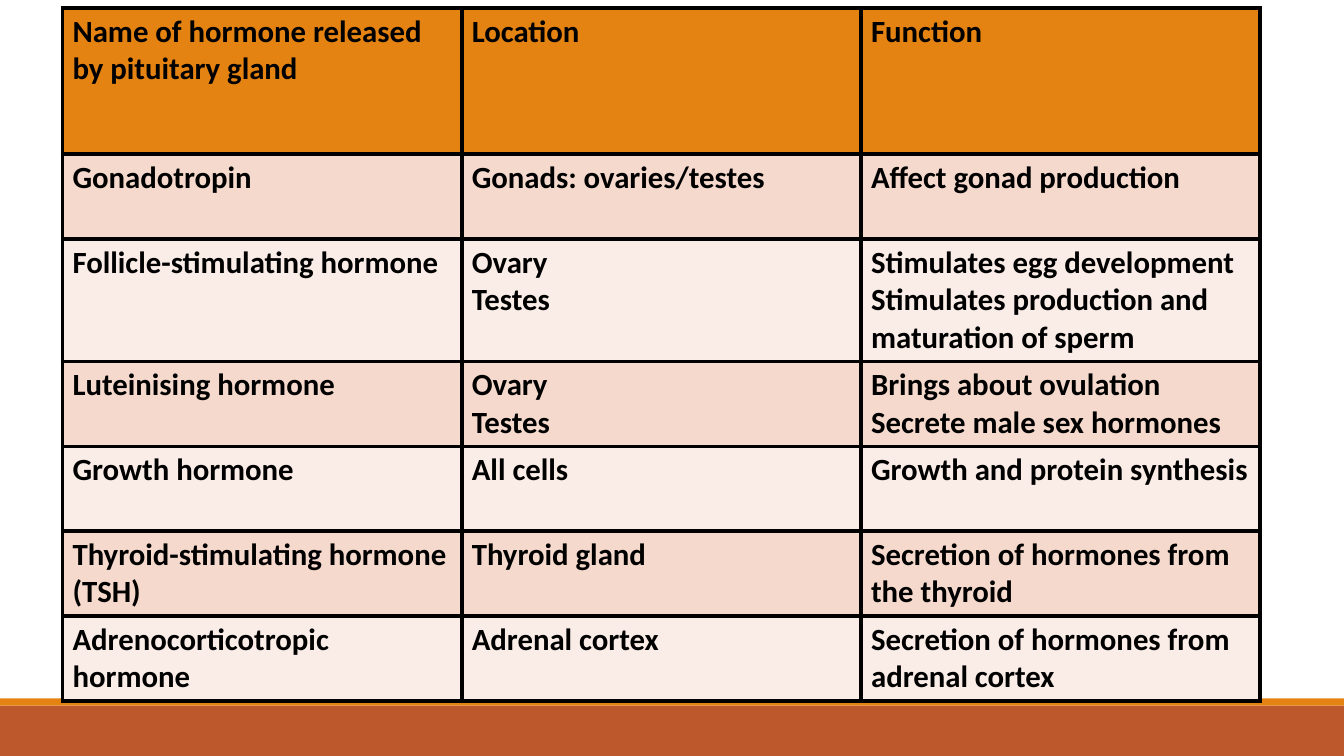
"""Build a slide with a table of pituitary hormones."""
from lxml.etree import SubElement
from pptx import Presentation
from pptx.dml.color import RGBColor
from pptx.enum.shapes import MSO_SHAPE
from pptx.oxml.ns import qn
from pptx.util import Inches, Pt

HORMONES = [
    ("Name of hormone released by pituitary gland", "Location", "Function"),
    ("Gonadotropin", "Gonads: ovaries/testes", "Affect gonad production"),
    ("Follicle-stimulating hormone", "Ovary\nTestes",
     "Stimulates egg development\nStimulates production and maturation of sperm"),
    ("Luteinising hormone", "Ovary\nTestes",
     "Brings about ovulation\nSecrete male sex hormones"),
    ("Growth hormone", "All cells", "Growth and protein synthesis"),
    ("Thyroid-stimulating hormone (TSH)", "Thyroid gland",
     "Secretion of hormones from the thyroid"),
    ("Adrenocorticotropic hormone", "Adrenal cortex",
     "Secretion of hormones from adrenal cortex"),
]
COLORS = {"footer": "BD582C", "header": "E48312", "odd": "F5D9CC",
          "even": "FAEDE7", "ink": "000000"}
WIDTH, HEIGHT = 13.33, 7.5
FOOTER_HEIGHT, STRIPE_HEIGHT = 0.5, 0.07
TABLE_LEFT, TABLE_TOP, TABLE_HEIGHT = 0.62, 0.08, 6.87
COLUMN_WIDTH, HEADER_HEIGHT, ROW_HEIGHT = 3.96, 1.45, 0.84
BORDER_WIDTH = Pt(3)


def add_band(slide, top, height, color):
    band = slide.shapes.add_shape(
        MSO_SHAPE.RECTANGLE, 0, Inches(top), Inches(WIDTH), Inches(height))
    band.shadow.inherit = False
    band.fill.solid()
    band.fill.fore_color.rgb = RGBColor.from_string(COLORS[color])
    band.line.fill.background()


def add_borders(cell):
    properties = cell._tc.get_or_add_tcPr()
    for position, side in enumerate(("lnL", "lnR", "lnT", "lnB")):
        border = properties.makeelement(qn(f"a:{side}"), {"w": str(BORDER_WIDTH)})
        fill = SubElement(border, qn("a:solidFill"))
        SubElement(fill, qn("a:srgbClr"), val=COLORS["ink"])
        properties.insert(position, border)


def fill_cell(cell, text, color):
    cell.fill.solid()
    cell.fill.fore_color.rgb = RGBColor.from_string(COLORS[color])
    add_borders(cell)
    cell.text_frame.text = text
    for paragraph in cell.text_frame.paragraphs:
        for run in paragraph.runs:
            run.font.name = "Calibri"
            run.font.size = Pt(22)
            run.font.bold = True
            run.font.color.rgb = RGBColor.from_string(COLORS["ink"])


def add_hormone_table(slide):
    columns = len(HORMONES[0])
    frame = slide.shapes.add_table(
        len(HORMONES), columns, Inches(TABLE_LEFT), Inches(TABLE_TOP),
        Inches(COLUMN_WIDTH * columns), Inches(TABLE_HEIGHT))
    table = frame.table
    for column in table.columns:
        column.width = Inches(COLUMN_WIDTH)
    for row_index, texts in enumerate(HORMONES):
        table.rows[row_index].height = Inches(ROW_HEIGHT if row_index else HEADER_HEIGHT)
        color = ("odd" if row_index % 2 else "even") if row_index else "header"
        for column_index, text in enumerate(texts):
            fill_cell(table.cell(row_index, column_index), text, color)
    frame.height = Inches(TABLE_HEIGHT)


def main():
    presentation = Presentation()
    presentation.slide_width = Inches(WIDTH)
    presentation.slide_height = Inches(HEIGHT)
    slide = presentation.slides.add_slide(presentation.slide_layouts[6])
    footer_top = HEIGHT - FOOTER_HEIGHT
    add_band(slide, footer_top, FOOTER_HEIGHT, "footer")
    add_band(slide, footer_top - STRIPE_HEIGHT, STRIPE_HEIGHT, "header")
    add_hormone_table(slide)
    presentation.save("out.pptx")


if __name__ == "__main__":
    main()
